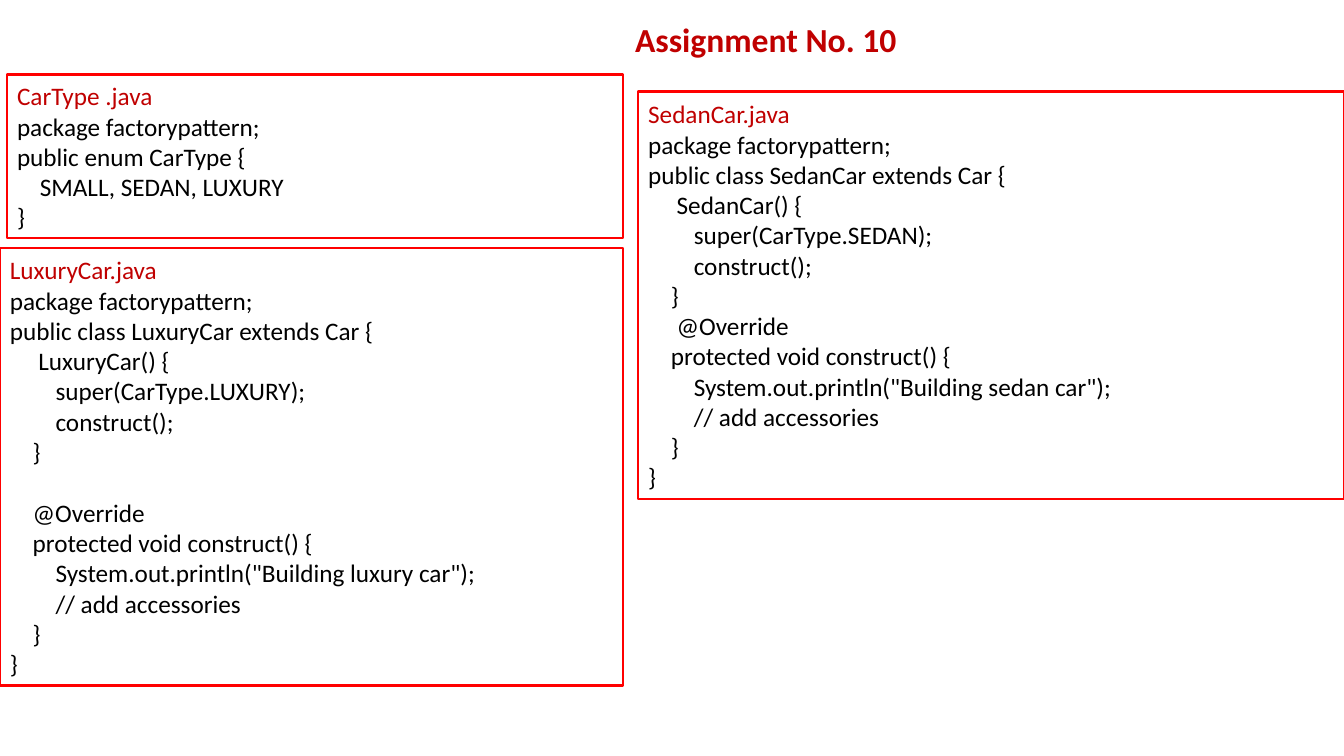
from pptx import Presentation
from pptx.dml.color import RGBColor as Color
from pptx.enum.shapes import MSO_SHAPE as Kind
from pptx.enum.text import MSO_ANCHOR as Anchor, MSO_AUTO_SIZE as Fit, PP_ALIGN as Align
from pptx.util import Inches, Pt

theme = {
    "head": {"size": Pt(24), "name": "Calibri", "bold": True},
    "code": {"size": Pt(18), "name": "Calibri", "bold": False},
    "title": Color.from_string("C00000"),
    "text": Color.from_string("000000"),
    "edge": Color.from_string("FF0000"),
    "line": Pt(1.75),
    "space": Pt(4.07),
    "gap": Pt(22),
}
frame = {"word_wrap": True, "auto_size": Fit.SHAPE_TO_FIT_TEXT, "vertical_anchor": Anchor.MIDDLE}

deck = Presentation()
deck.slide_width, deck.slide_height = Inches(13.33), Inches(7.5)
slide = deck.slides.add_slide(deck.slide_layouts[6])


def area(left, top, wide, high):
    col, row = deck.slide_width / 100, deck.slide_height / 100
    return [int(n) for n in (left * col, top * row, wide * col, high * row)]


def write(para, text, form, color):
    run = para.add_run()
    run.text = text
    for key, val in form.items():
        setattr(run.font, key, val)
    run.font.color.rgb = color


head = slide.shapes.add_textbox(*area(41.94, 1.87, 30.08, 6.67)).text_frame
head.word_wrap = True
head.paragraphs[0].alignment = Align.CENTER
write(head.paragraphs[0], "Assignment No. 10", theme["head"], theme["title"])

cards = [
    ((0, 32.8, 46.36, 57.87), """LuxuryCar.java
package factorypattern;
public class LuxuryCar extends Car {
     LuxuryCar() {
        super(CarType.LUXURY);
        construct();
    }

    @Override
    protected void construct() {
        System.out.println("Building luxury car");
        // add accessories
    }
}"""),
    ((0.53, 9.87, 45.84, 21.6), """CarType .java
package factorypattern;
public enum CarType {
    SMALL, SEDAN, LUXURY
}"""),
    ((47.49, 12.13, 52.51, 53.87), """SedanCar.java
package factorypattern;
public class SedanCar extends Car {
     SedanCar() {
        super(CarType.SEDAN);
        construct();
    }
     @Override
    protected void construct() {
        System.out.println("Building sedan car");
        // add accessories
    }
}"""),
]

for place, code in cards:
    card = slide.shapes.add_shape(Kind.RECTANGLE, *area(*place))
    card.shadow.inherit = False
    card.fill.background()
    card.line.color.rgb, card.line.width = theme["edge"], theme["line"]
    body = card.text_frame
    for key, val in frame.items():
        setattr(body, key, val)
    gap = Pt(0)
    for num, line in enumerate(code.split("\n")):
        if not line:
            gap = theme["gap"]
            continue
        para = body.add_paragraph() if num else body.paragraphs[0]
        text = line.lstrip()
        para.alignment, para.space_before = Align.LEFT, gap
        para._p.get_or_add_pPr().set("marL", str((len(line) - len(text)) * theme["space"]))
        write(para, text, theme["code"], theme["text"] if num else theme["title"])
        gap = Pt(0)

deck.save("out.pptx")
